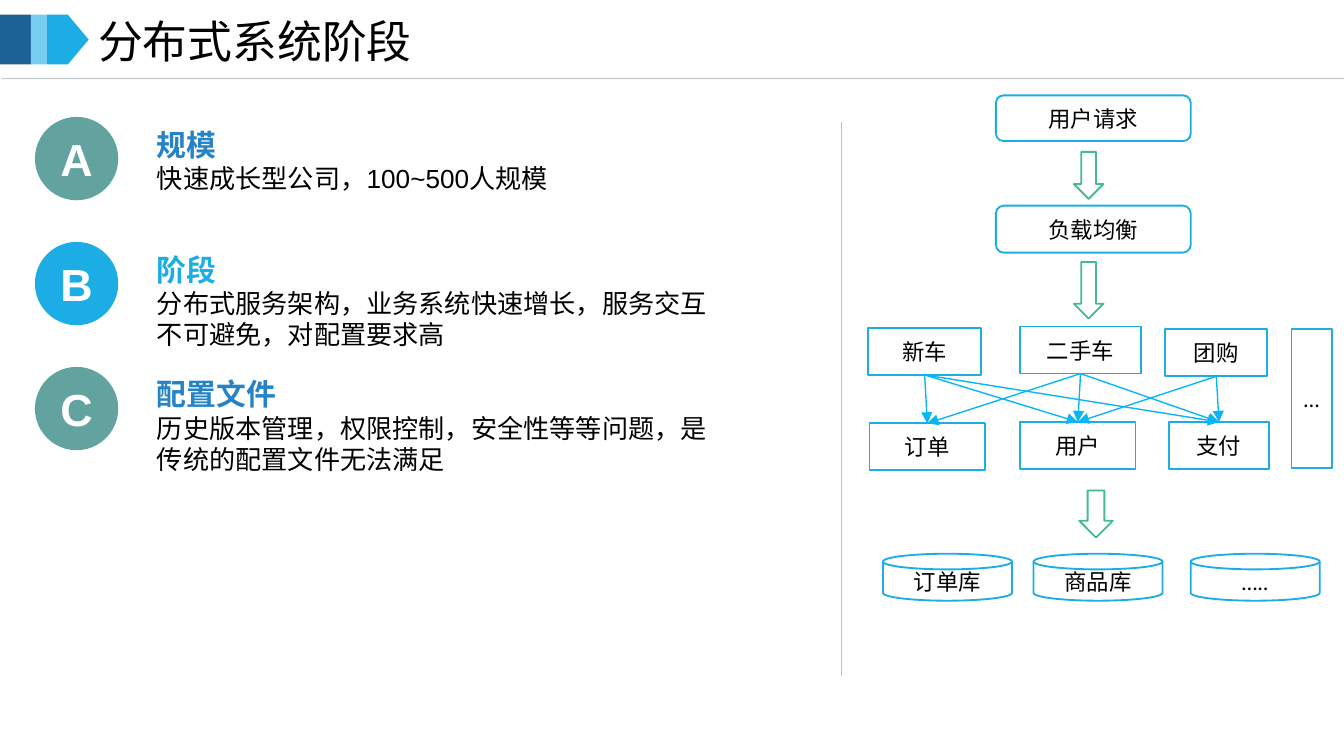
from itertools import product

from lxml.etree import SubElement
from pptx import Presentation
from pptx.dml.color import RGBColor
from pptx.enum.shapes import MSO_CONNECTOR, MSO_SHAPE
from pptx.enum.text import MSO_ANCHOR, PP_ALIGN
from pptx.oxml.ns import qn
from pptx.util import Inches, Pt

THEME = dict(
    navy="1D6294", pale="77CEEF", cyan="1CADE4", blue="2683C6", teal="62A39F",
    green="42BA97", link="08B6F8", rule="C6CDD1", split="BFBFBF",
    white="FFFFFF", black="000000",
    cjk="Noto Sans CJK SC", sans="Arial", label="Calibri",
    title=24, head=16, body=14, small=12,
)

TITLE = "分布式系统阶段"
BADGE = [  # shape, left, width, colour
    (MSO_SHAPE.RECTANGLE, 0, 0.23, "navy"),
    (MSO_SHAPE.RECTANGLE, 0.23, 0.12, "pale"),
    (MSO_SHAPE.PENTAGON, 0.35, 0.31, "cyan"),
]
POINTS = [  # letter, disc colour, heading colour, heading, body
    ("A", "teal", "blue", "规模", "快速成长型公司，100~500人规模"),
    ("B", "cyan", "cyan", "阶段",
     "分布式服务架构，业务系统快速增长，服务交互不可避免，对配置要求高"),
    ("C", "teal", "blue", "配置文件",
     "历史版本管理，权限控制，安全性等等问题，是传统的配置文件无法满足"),
]
POINT_TOP, POINT_STEP, DISC = 0.87, 0.93, 0.62

ROW = 0.35
ENTRY = [("用户请求", 0.71, 0.34), ("负载均衡", 1.53, ROW)]  # text, top, height
FLOW = [(7.99, 1.13, 0.22, 0.35), (7.99, 1.95, 0.22, 0.42), (8.03, 3.65, 0.25, 0.35)]
APPS = [("新车", 6.46, 2.44, 0.84), ("二手车", 7.59, 2.43, 0.9), ("团购", 8.67, 2.45, 0.76)]
CORE = [("订单", 6.47, 3.15, 0.86), ("用户", 7.59, 3.14, 0.86), ("支付", 8.7, 3.14, 0.74)]
UNLINKED = {("团购", "订单")}
STORES = [("订单库", 6.57), ("商品库", 7.69), ("…..", 8.86)]  # text, left

prs = Presentation()
prs.slide_width = Inches(10)
prs.slide_height = prs.slide_width * 9 // 16
slide = prs.slides.add_slide(prs.slide_layouts[5])
shapes = slide.shapes


def color(name):
    return RGBColor.from_string(THEME[name])


def style(para, size, font, ink="black", bold=False):
    for run in para.runs:
        run.font.size = Pt(THEME[size])
        run.font.bold = bold
        run.font.color.rgb = color(ink)
        run.font.name = THEME[font]
        SubElement(run.font._element, qn("a:ea"), typeface=THEME["cjk"])


def inset(frame, x, y):
    frame.margin_left = frame.margin_right = Inches(x)
    frame.margin_top = frame.margin_bottom = Inches(y)


def draw(kind, box, fill="white", edge=None):
    shape = shapes.add_shape(kind, *map(Inches, box))
    shape.shadow.inherit = False
    shape.fill.solid()
    shape.fill.fore_color.rgb = color(fill)
    if edge:
        shape.line.color.rgb = color(edge)
        shape.line.width = Pt(1)
    else:
        shape.line.fill.background()
    return shape


def write(shape, text, *look):
    frame = shape.text_frame
    frame.text = text
    frame.vertical_anchor = MSO_ANCHOR.MIDDLE
    inset(frame, 0, 0)
    para = frame.paragraphs[0]
    para.alignment = PP_ALIGN.CENTER
    style(para, *look)


def node(kind, text, *box):
    shape = draw(kind, box, edge="cyan")
    write(shape, text, "small", "label")
    return shape


def connect(start, end, ink, width, arrow=False):
    line = shapes.add_connector(MSO_CONNECTOR.STRAIGHT, *start, *end)
    line.line.color.rgb = color(ink)
    line.line.width = Pt(width)
    if arrow:
        SubElement(line.line._get_or_add_ln(), qn("a:tailEnd"), type="triangle")
    SubElement(line._element.spPr, qn("a:effectLst"))


# Header
draw(MSO_SHAPE.RECTANGLE, (0.01, 0.58, 9.99, 0.01), "rule")
for kind, left, width, fill in BADGE:
    draw(kind, (left, 0.11, width, 0.37), fill)
title = shapes.title
title.left, title.top, title.width, title.height = map(Inches, (0.67, 0.08, 5.73, 0.45))
title.text_frame.text = TITLE
title.text_frame.vertical_anchor = MSO_ANCHOR.MIDDLE
inset(title.text_frame, 0.06, 0.03)
title.text_frame.paragraphs[0].alignment = PP_ALIGN.LEFT
style(title.text_frame.paragraphs[0], "title", "cjk")

# Points on the left
for i, (letter, fill, ink, head, body) in enumerate(POINTS):
    top = POINT_TOP + i * POINT_STEP
    disc = draw(MSO_SHAPE.OVAL, (0.26, top, DISC, DISC), fill)
    write(disc, letter, "title", "sans", "white", True)
    frame = shapes.add_textbox(*map(Inches, (1.07, top + 0.02, 4.4, 0.84))).text_frame
    frame.word_wrap = True
    inset(frame, 0.1, 0.05)
    frame.text = head
    style(frame.paragraphs[0], "head", "cjk", ink, True)
    para = frame.add_paragraph()
    para.text = body
    style(para, "body", "sans")

# Architecture on the right
split = Inches(6.26)
connect((split, Inches(0.91)), (split, Inches(5.03)), "split", 0.25)
for text, top, height in ENTRY:
    node(MSO_SHAPE.FLOWCHART_ALTERNATE_PROCESS, text, 7.41, top, 1.45, height)
for box in FLOW:
    draw(MSO_SHAPE.DOWN_ARROW, box, edge="green")
apps, core = (
    [(text, node(MSO_SHAPE.RECTANGLE, text, *box, ROW)) for text, *box in tier]
    for tier in (APPS, CORE)
)
for (app, upper), (service, lower) in product(apps, core):
    if (app, service) not in UNLINKED:
        start = upper.left + upper.width // 2, upper.top + upper.height
        end = lower.left + lower.width // 2, lower.top
        connect(start, end, "link", 0.75, arrow=True)
for text, left in STORES:
    node(MSO_SHAPE.FLOWCHART_MAGNETIC_DISK, text, left, 4.12, 0.96, ROW)
node(MSO_SHAPE.RECTANGLE, "…", 9.61, 2.45, 0.3, 1.03)

prs.save("out.pptx")
